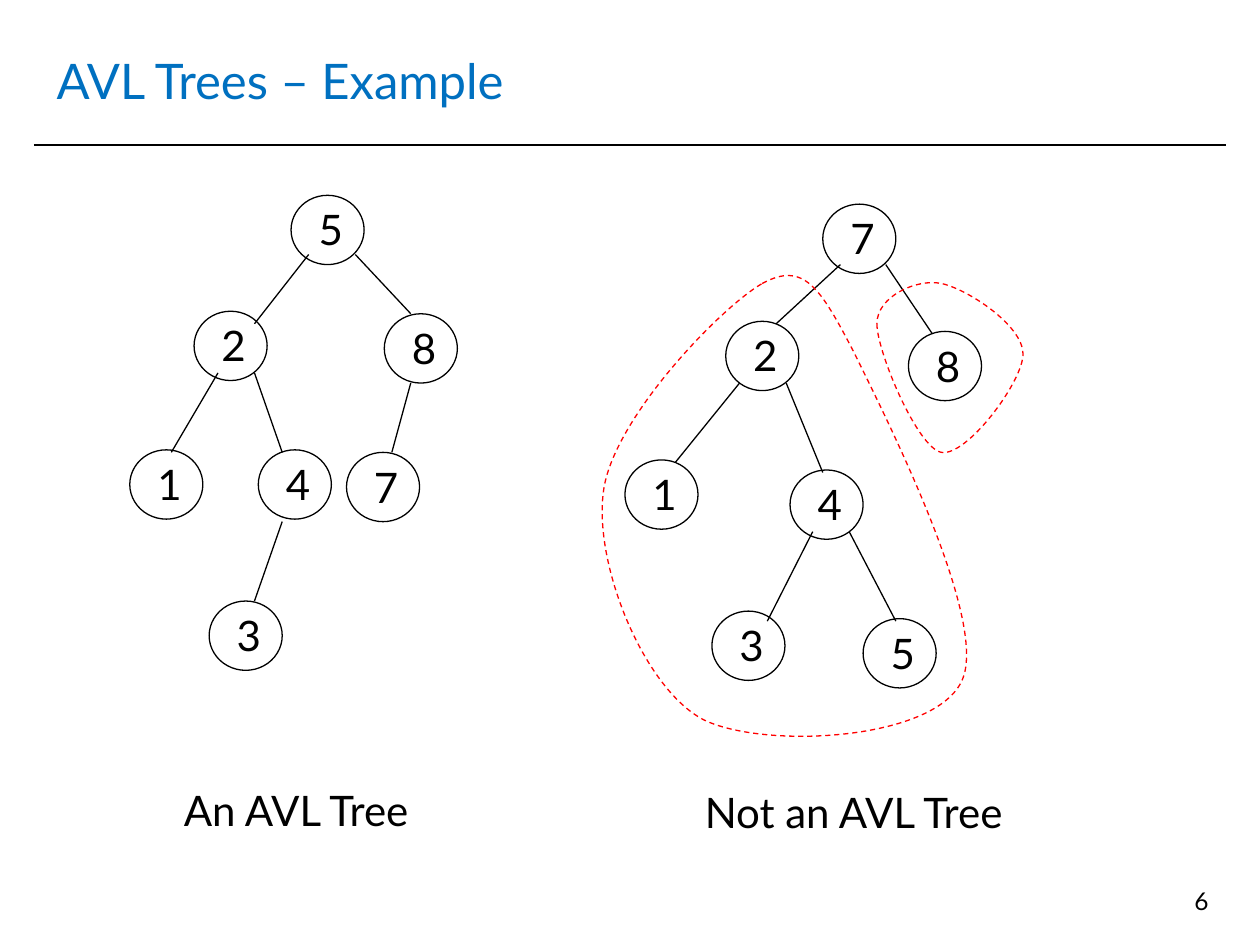
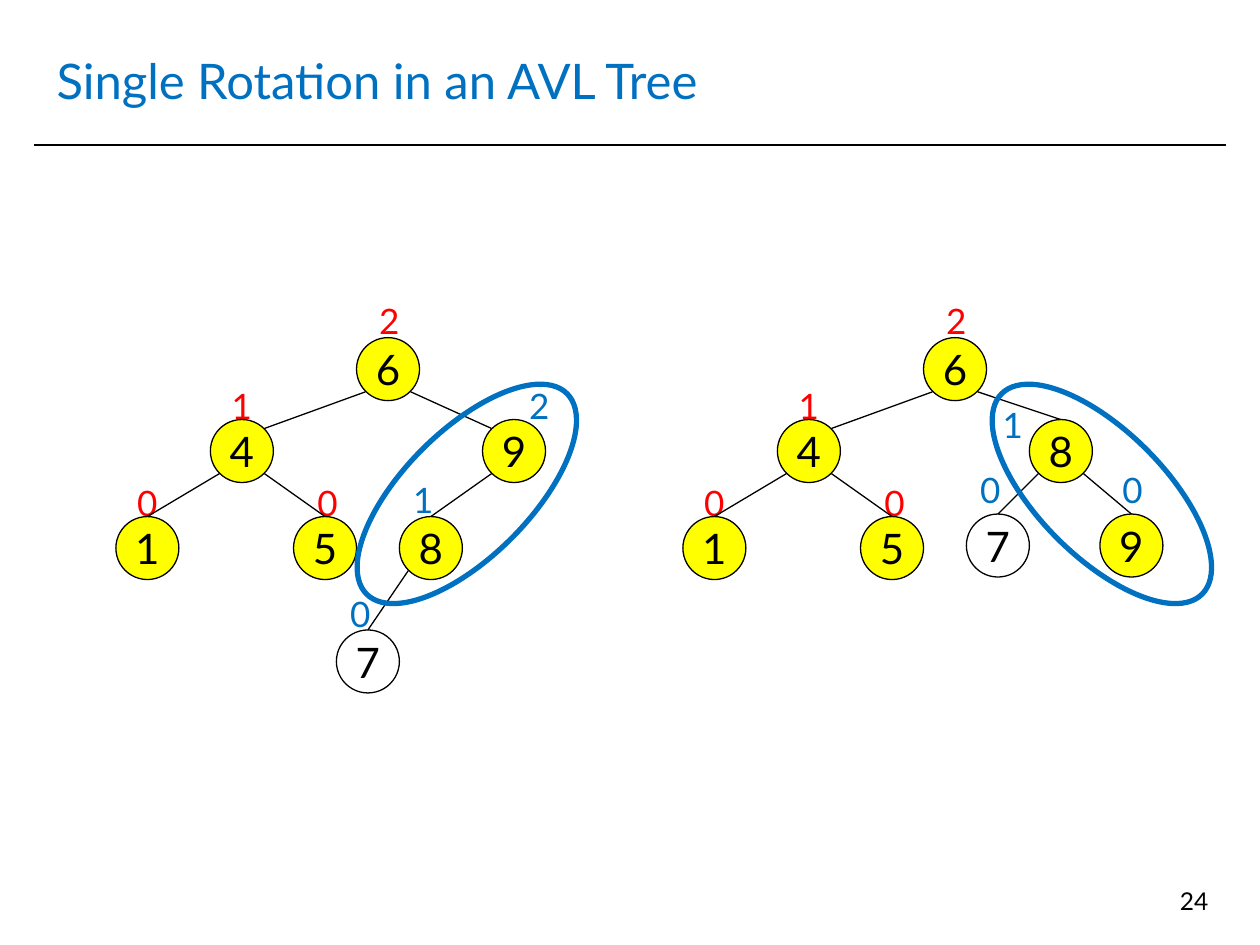
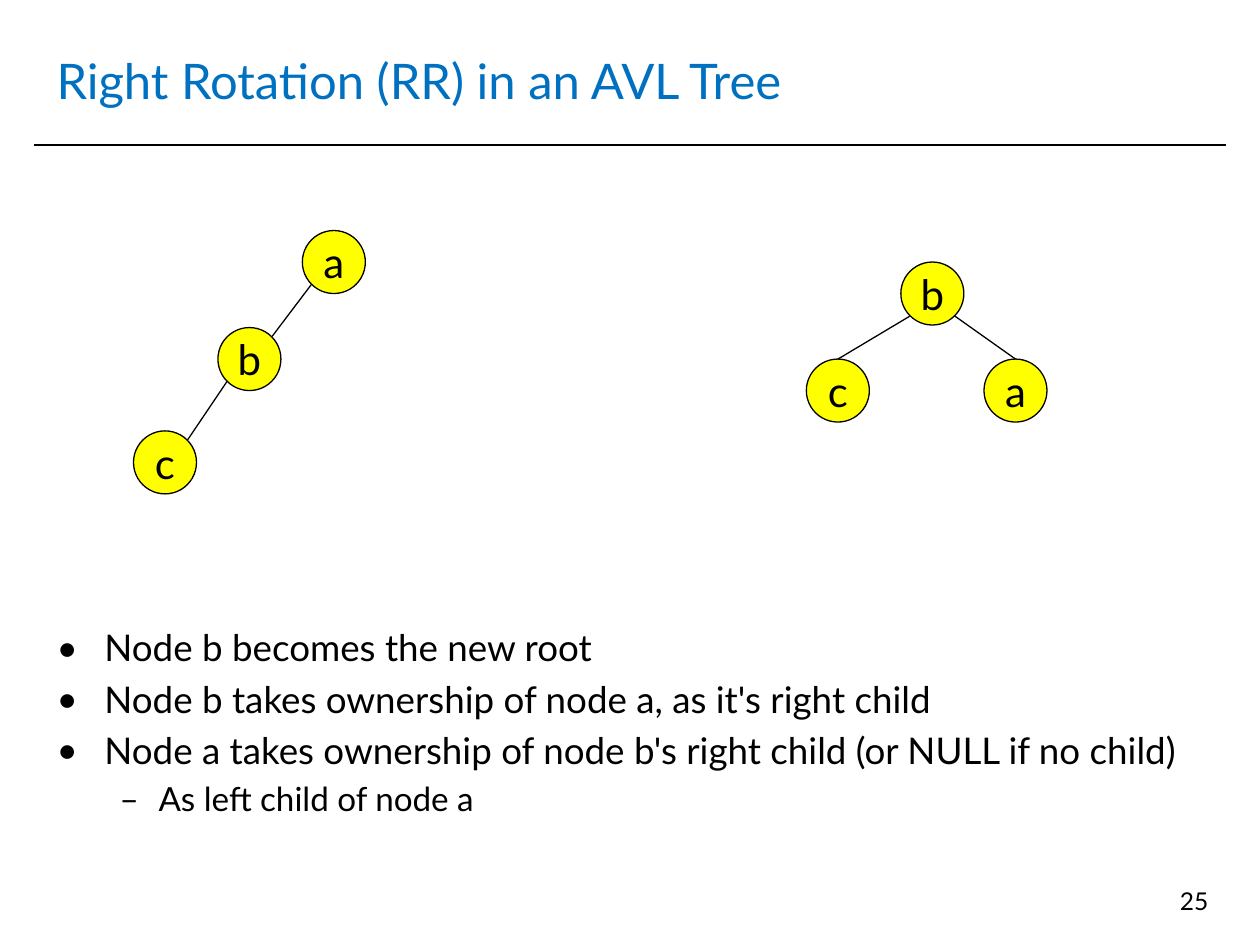
"""Build three slides on AVL trees and their rotations."""
from lxml import etree
from pptx import Presentation
from pptx.dml.color import RGBColor
from pptx.enum.dml import MSO_LINE
from pptx.enum.shapes import MSO_CONNECTOR, MSO_SHAPE
from pptx.enum.text import MSO_ANCHOR, PP_ALIGN
from pptx.oxml.ns import qn
from pptx.util import Inches, Pt

STRAIGHT = MSO_CONNECTOR.STRAIGHT
OVAL = MSO_SHAPE.OVAL
DASH = MSO_LINE.DASH
MIDDLE, TOP = MSO_ANCHOR.MIDDLE, MSO_ANCHOR.TOP
LEFT, CENTER, RIGHT = PP_ALIGN.LEFT, PP_ALIGN.CENTER, PP_ALIGN.RIGHT

FONT = "Lato"
COLORS = {"black": "000000", "blue": "0070C0", "red": "FF0000", "yellow": "FFFF00"}
NODE = 0.5
NEAR, FAR = 0.07, 0.43
WIDE_NODE = (0.58, 0.55)

EXAMPLE_TITLE = "AVL Trees – Example"
EXAMPLE_NODES = [
    ("5", 2.31, 1.55), ("2", 1.54, 2.47), ("8", 3.05, 2.49), ("1", 1.03, 3.57),
    ("4", 2.05, 3.57), ("3", 1.66, 4.77), ("7", 2.75, 3.59),
    ("7", 6.53, 1.62), ("2", 5.76, 2.55), ("8", 7.21, 2.63), ("1", 4.96, 3.65),
    ("4", 6.27, 3.73), ("3", 5.65, 4.85), ("5", 6.85, 4.91),
]
EXAMPLE_EDGES = [
    (2.45, 2.02, 2.02, 2.57), (2.82, 2.02, 3.26, 2.49), (1.73, 2.96, 1.36, 3.59),
    (2.02, 2.96, 2.24, 3.59), (2.24, 4.14, 2.02, 4.77), (3.26, 3.04, 3.11, 3.59),
    (6.67, 2.1, 6.16, 2.57), (7.03, 2.1, 7.4, 2.65), (5.87, 3.04, 5.36, 3.67),
    (6.24, 3.04, 6.53, 3.75), (6.45, 4.22, 6.09, 4.93), (6.74, 4.22, 7.11, 4.93),
]
CAPTIONS = [("An AVL Tree", 1.15, 6.18, 2.4), ("Not an AVL Tree", 5.36, 6.19, 2.83)]
SUBTREE_OUTLINES = [
    [(6.05, 2.25),
     (6.38, 2.07), (6.51, 2.28), (6.78, 2.8),
     (7.04, 3.33), (7.84, 4.91), (7.64, 5.39),
     (7.44, 5.88), (6.06, 5.95), (5.58, 5.71),
     (5.11, 5.46), (4.71, 4.48), (4.79, 3.9),
     (4.86, 3.33), (5.72, 2.44), (6.05, 2.25)],
    [(6.96, 2.57),
     (6.96, 2.79), (7.28, 3.55), (7.47, 3.59),
     (7.67, 3.63), (8.12, 3.03), (8.12, 2.81),
     (8.12, 2.58), (7.67, 2.29), (7.47, 2.25),
     (7.28, 2.21), (6.96, 2.35), (6.96, 2.57)],
]

SINGLE_TITLE = "Single Rotation in an AVL Tree"
TREE_SHIFT = 4.5
KEPT_NODES = {"6": (2.83, 2.68), "4": (1.67, 3.33), "1": (0.92, 4.1), "5": (2.33, 4.1)}
KEPT_EDGES = [("6", "4", "corner"), ("4", "1", "top"), ("4", "5", "top")]
KEPT_HEIGHTS = [("2", 2.91, 2.33), ("1", 1.74, 3), ("0", 0.99, 3.77), ("0", 2.42, 3.77)]
ROTATIONS = [
    {"shift": 0,
     "nodes": {"9": (3.83, 3.33), "8": (3.17, 4.1), "7": (2.67, 5)},
     "edges": [("6", "9", "corner"), ("9", "8", "top"), ("8", "7", "top")],
     "heights": [("2", 4.1, 3), ("1", 3.18, 3.75), ("0", 2.68, 4.65)],
     "ring": (2.58, 315)},
    {"shift": TREE_SHIFT,
     "nodes": {"8": (8.17, 3.33), "9": (8.73, 4.08), "7": (7.67, 4.08)},
     "edges": [("6", "8", "top"), ("8", "9", "top"), ("8", "7", "top")],
     "heights": [("1", 7.86, 3.15), ("0", 8.81, 3.67), ("0", 7.68, 3.67)],
     "ring": (7.62, 45)},
]

RIGHT_TITLE = "Right Rotation (RR) in an AVL Tree"
RIGHT_TREES = [
    ({"b": (7.15, 2.08), "c": (6.4, 2.85), "a": (7.81, 2.85)},
     [("b", "c", "top"), ("b", "a", "top")]),
    ({"a": (2.4, 1.83), "b": (1.73, 2.6), "c": (1.06, 3.42)},
     [("a", "b", "corner"), ("b", "c", "corner")]),
]
STEPS = [
    (0, "Node b becomes the new root"),
    (0, "Node b takes ownership of node a, as it's right child"),
    (0, "Node a takes ownership of node b's right child (or NULL if no child)"),
    (1, "As left child of node a"),
]
LEVELS = [
    {"bullet": "•", "size": 21, "margin": 0.38, "hang": 0.38},
    {"bullet": "–", "size": 19, "margin": 0.81, "hang": 0.31},
]


def rgb(name):
    return RGBColor.from_string(COLORS[name])


def add_run(p, text, size, color="black"):
    r = p.add_run()
    r.text = text
    r.font.name = FONT
    r.font.size = Pt(size)
    r.font.color.rgb = rgb(color)


def add_text(s, text, box, size, color="black", align=LEFT, anchor=TOP, wrap=True):
    tf = s.shapes.add_textbox(*map(Inches, box)).text_frame
    tf.word_wrap = wrap
    tf.vertical_anchor = anchor
    p = tf.paragraphs[0]
    p.alignment = align
    add_run(p, text, size, color)


def add_line(s, x1, y1, x2, y2, width=0.75):
    line = s.shapes.add_connector(STRAIGHT, *map(Inches, (x1, y1, x2, y2)))
    line.line.color.rgb = rgb("black")
    line.line.width = Pt(width)
    etree.SubElement(line._element.spPr, qn("a:effectLst"))
    return line


def style_shape(sp, fill=None, line="black", width=0.75):
    sp.shadow.inherit = False
    if fill:
        sp.fill.solid()
        sp.fill.fore_color.rgb = rgb(fill)
    else:
        sp.fill.background()
    sp.line.color.rgb = rgb(line)
    sp.line.width = Pt(width)


def add_oval(s, box, **style):
    sp = s.shapes.add_shape(OVAL, *map(Inches, box))
    style_shape(sp, **style)
    return sp


def add_slide(prs, title, number):
    s = prs.slides.add_slide(prs.slide_layouts[6])
    add_text(s, title, (0.35, 0.21, 9.29, 0.85), 28, "blue", anchor=MIDDLE)
    add_text(s, str(number), (7.36, 6.98, 2.33, 0.52), 14, align=RIGHT)
    return s


def add_title_rule(s):
    rule = add_line(s, 0.27, 1.15, 9.73, 1.15, 1)
    s.slide_layout.shapes._spTree.append(rule._element)


def add_tree(s, nodes, edges, unfilled=()):
    ovals = {}
    for key, (x, y) in nodes.items():
        sp = add_oval(s, (x, y, NODE, NODE), fill=None if key in unfilled else "yellow")
        tf = sp.text_frame
        tf.word_wrap = False
        tf.vertical_anchor = MIDDLE
        p = tf.paragraphs[0]
        p.alignment = CENTER
        add_run(p, key, 24)
        ovals[key] = sp
    for parent, child, end in edges:
        (px, py), (cx, cy) = nodes[parent], nodes[child]
        start, stop = (NEAR, FAR) if cx < px else (FAR, NEAR)
        line = add_line(s, px + start, py + FAR, cx + stop, cy + NEAR)
        if end == "top":
            line.end_connect(ovals[child], 0)


def add_outline(s, points):
    start, *rest = [tuple(map(Inches, point)) for point in points]
    builder = s.shapes.build_freeform(*start)
    builder.add_line_segments(rest, close=True)
    sp = builder.convert_to_shape()
    segments = list(sp._element.iter(qn("a:lnTo")))
    for i in range(0, len(segments), 3):
        curve = etree.Element(qn("a:cubicBezTo"))
        segments[i].addprevious(curve)
        for segment in segments[i:i + 3]:
            curve.append(segment[0])
            segment.getparent().remove(segment)
    style_shape(sp, line="red")
    sp.line.dash_style = DASH


def add_steps(s):
    tf = s.shapes.add_textbox(*map(Inches, (0.35, 4.91, 9.29, 1.91))).text_frame
    tf.word_wrap = True
    for i, (level, text) in enumerate(STEPS):
        look = LEVELS[level]
        p = tf.add_paragraph() if i else tf.paragraphs[0]
        p.level = level
        if i:
            p.space_before = Pt(look["size"] * 0.2)
        pPr = p._p.get_or_add_pPr()
        pPr.set("marL", str(Inches(look["margin"])))
        pPr.set("indent", str(-Inches(look["hang"])))
        color = etree.SubElement(pPr, qn("a:buClr"))
        etree.SubElement(color, qn("a:srgbClr"), val=COLORS["black"])
        etree.SubElement(pPr, qn("a:buFont"), typeface=FONT)
        etree.SubElement(pPr, qn("a:buChar"), char=look["bullet"])
        add_run(p, text, look["size"])


def example_slide(prs):
    s = add_slide(prs, EXAMPLE_TITLE, 6)
    add_title_rule(s)
    for key, x, y in EXAMPLE_NODES:
        add_oval(s, (x, y, *WIDE_NODE))
        add_text(s, key, (x + 0.12, y + 0.02, 0.44, 0.5), 24)
    for edge in EXAMPLE_EDGES:
        add_line(s, *edge)
    for points in SUBTREE_OUTLINES:
        add_outline(s, points)
    for text, x, y, width in CAPTIONS:
        add_text(s, text, (x, y, width, 0.5), 24, align=CENTER)


def single_rotation_slide(prs):
    s = add_slide(prs, SINGLE_TITLE, 24)
    for tree in ROTATIONS:
        shift = tree["shift"]
        kept = {key: (x + shift, y) for key, (x, y) in KEPT_NODES.items()}
        heights = [(h, x + shift, y, "red") for h, x, y in KEPT_HEIGHTS]
        heights += [(h, x, y, "blue") for h, x, y in tree["heights"]]
        for h, x, y, color in heights:
            add_text(s, h, (x, y, 0.35, 0.44), 20, color, wrap=False)
        add_tree(s, {**kept, **tree["nodes"]}, KEPT_EDGES + tree["edges"], unfilled="7")
        x, angle = tree["ring"]
        add_oval(s, (x, 3.42, 2.25, 1), line="blue", width=3).rotation = angle


def right_rotation_slide(prs):
    s = add_slide(prs, RIGHT_TITLE, 25)
    add_steps(s)
    for nodes, edges in RIGHT_TREES:
        add_tree(s, nodes, edges)


def main():
    prs = Presentation()
    prs.slide_width, prs.slide_height = Inches(10), Inches(7.5)
    example_slide(prs)
    single_rotation_slide(prs)
    right_rotation_slide(prs)
    prs.save("out.pptx")


if __name__ == "__main__":
    main()
